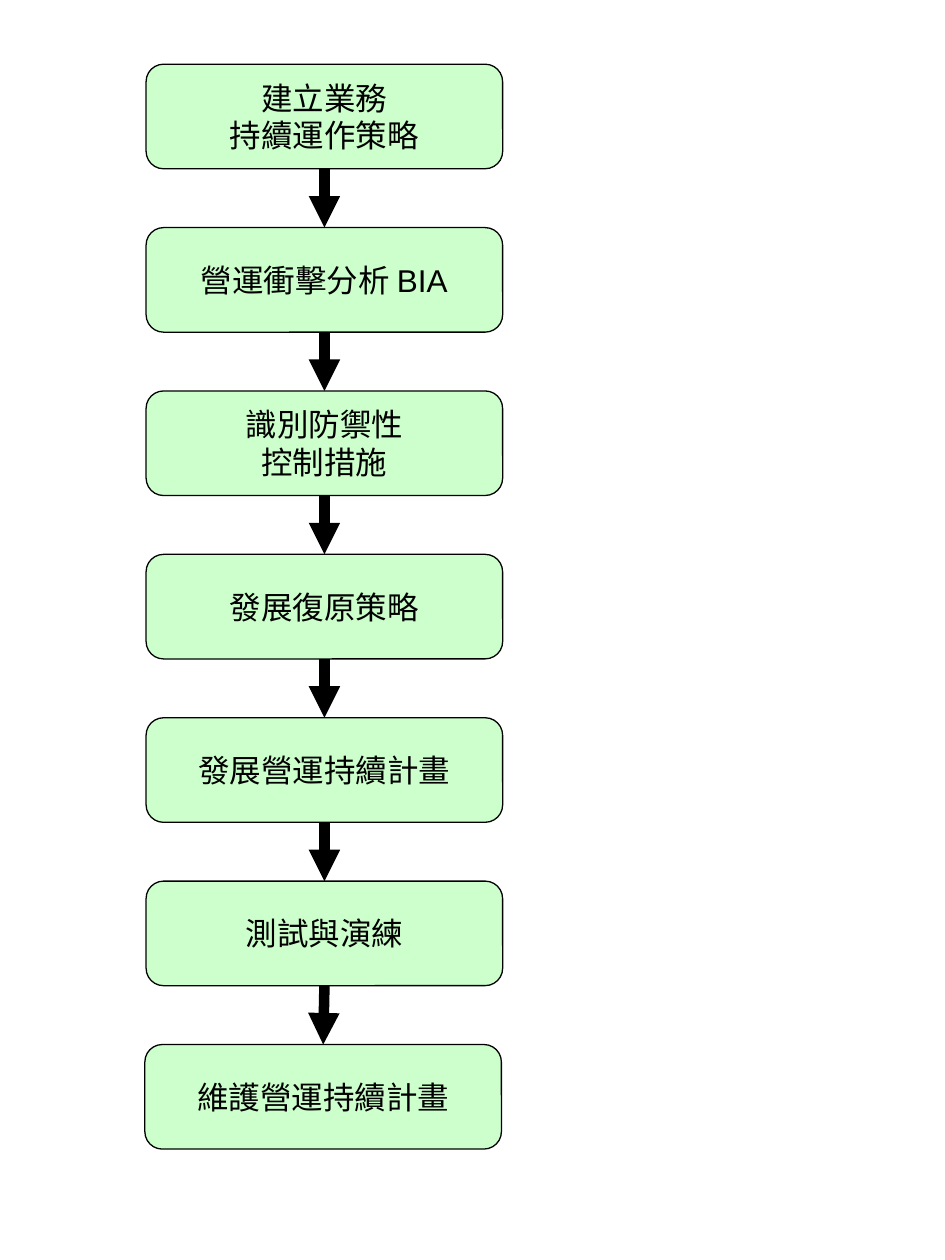
from pptx import Presentation
from pptx.dml.color import RGBColor
from pptx.enum.shapes import MSO_CONNECTOR, MSO_SHAPE
from pptx.enum.text import MSO_ANCHOR, PP_ALIGN
from pptx.oxml.ns import qn
from pptx.util import Inches, Pt
from lxml import etree

ROUNDED = MSO_SHAPE.ROUNDED_RECTANGLE
STRAIGHT = MSO_CONNECTOR.STRAIGHT
MIDDLE = MSO_ANCHOR.MIDDLE
CENTER = PP_ALIGN.CENTER

COLORS = {"box": "CCFFCC", "ink": "000000"}
INK = RGBColor.from_string(COLORS["ink"])

# "\v" is a line break, "\n" a new paragraph
STEPS = [
    "建立業務\v持續運作策略",
    "營運衝擊分析 BIA",
    "識別防禦性\n控制措施",
    "發展復原策略",
    "發展營運持續計畫",
    "測試與演練",
    "維護營運持續計畫",
]
LEFT, WIDTH, HEIGHT = 1.16, 2.83, 0.83
FIRST_TOP, LAST_TOP = 0.51, 8.29
PITCH = (LAST_TOP - FIRST_TOP) / (len(STEPS) - 1)

prs = Presentation()
prs.slide_width = Inches(7.5)
prs.slide_height = Inches(10)
s = prs.slides.add_slide(prs.slide_layouts[6])

# Step boxes
boxes = []
for i, step in enumerate(STEPS):
    sp = s.shapes.add_shape(ROUNDED, Inches(LEFT), Inches(FIRST_TOP + i * PITCH),
                            Inches(WIDTH), Inches(HEIGHT))
    sp.shadow.inherit = False
    sp.fill.solid()
    sp.fill.fore_color.rgb = RGBColor.from_string(COLORS["box"])
    sp.line.color.rgb = INK
    sp.line.width = Pt(0.75)
    tf = sp.text_frame
    tf.word_wrap = True
    tf.vertical_anchor = MIDDLE
    tf.margin_left = tf.margin_right = tf.margin_top = tf.margin_bottom = 0
    tf.text = step
    for p in tf.paragraphs:
        p.alignment = CENTER
        for r in p.runs:
            r.font.size = Pt(18)
            r.font.name = "Arial"
            r.font.color.rgb = INK
    boxes.append(sp)

# The last box sits slightly to the left
boxes[-1].left = Inches(1.15)

# Arrows from the bottom of each box to the top of the next
for upper, lower in zip(boxes, boxes[1:]):
    arrow = s.shapes.add_connector(STRAIGHT, 0, 0, 0, 0)
    arrow.begin_connect(upper, 2)
    arrow.end_connect(lower, 0)
    arrow.line.color.rgb = INK
    arrow.line.width = Pt(6)
    etree.SubElement(arrow.line._get_or_add_ln(), qn("a:tailEnd"), type="triangle")
    etree.SubElement(arrow._element.spPr, qn("a:effectLst"))

prs.save("out.pptx")
